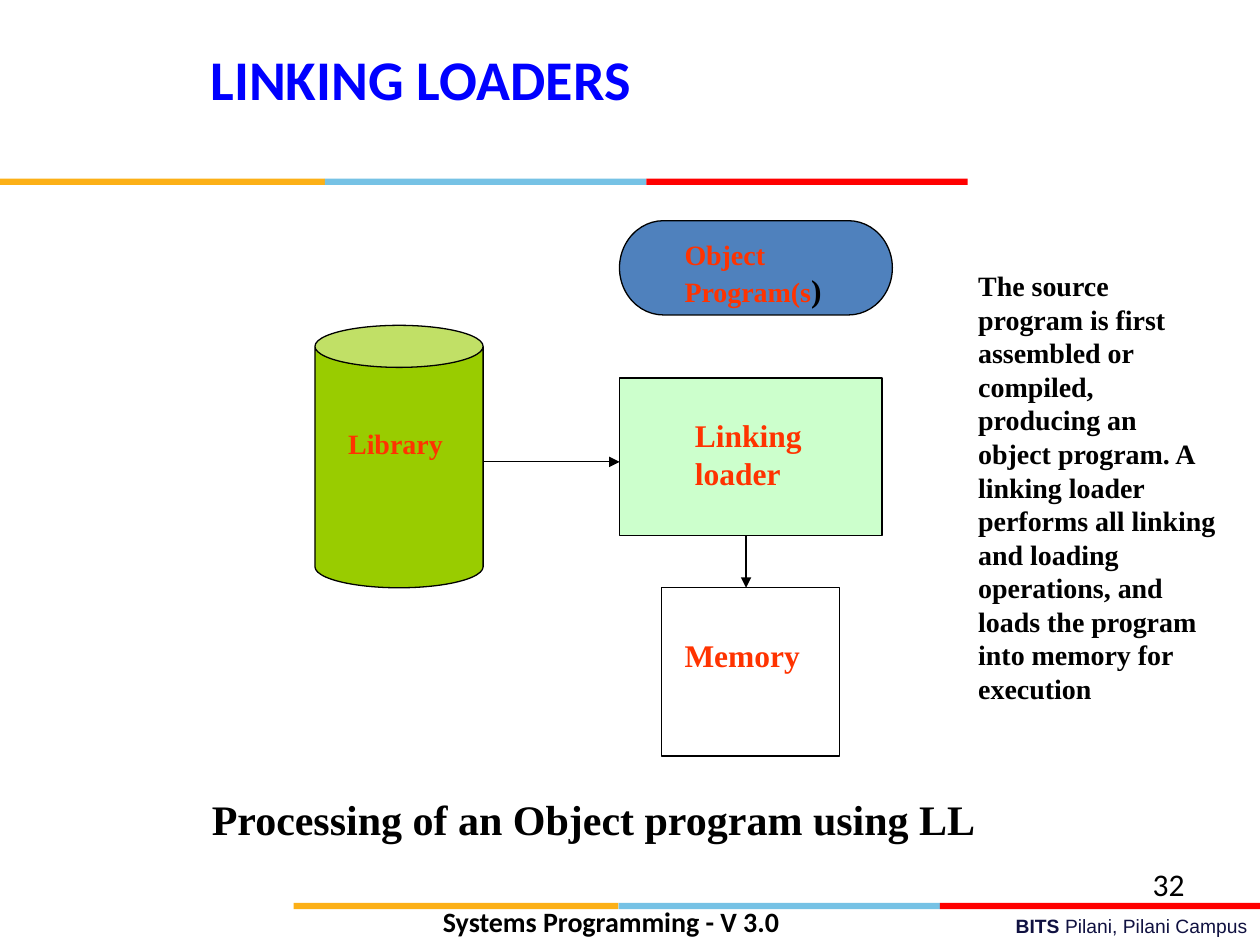
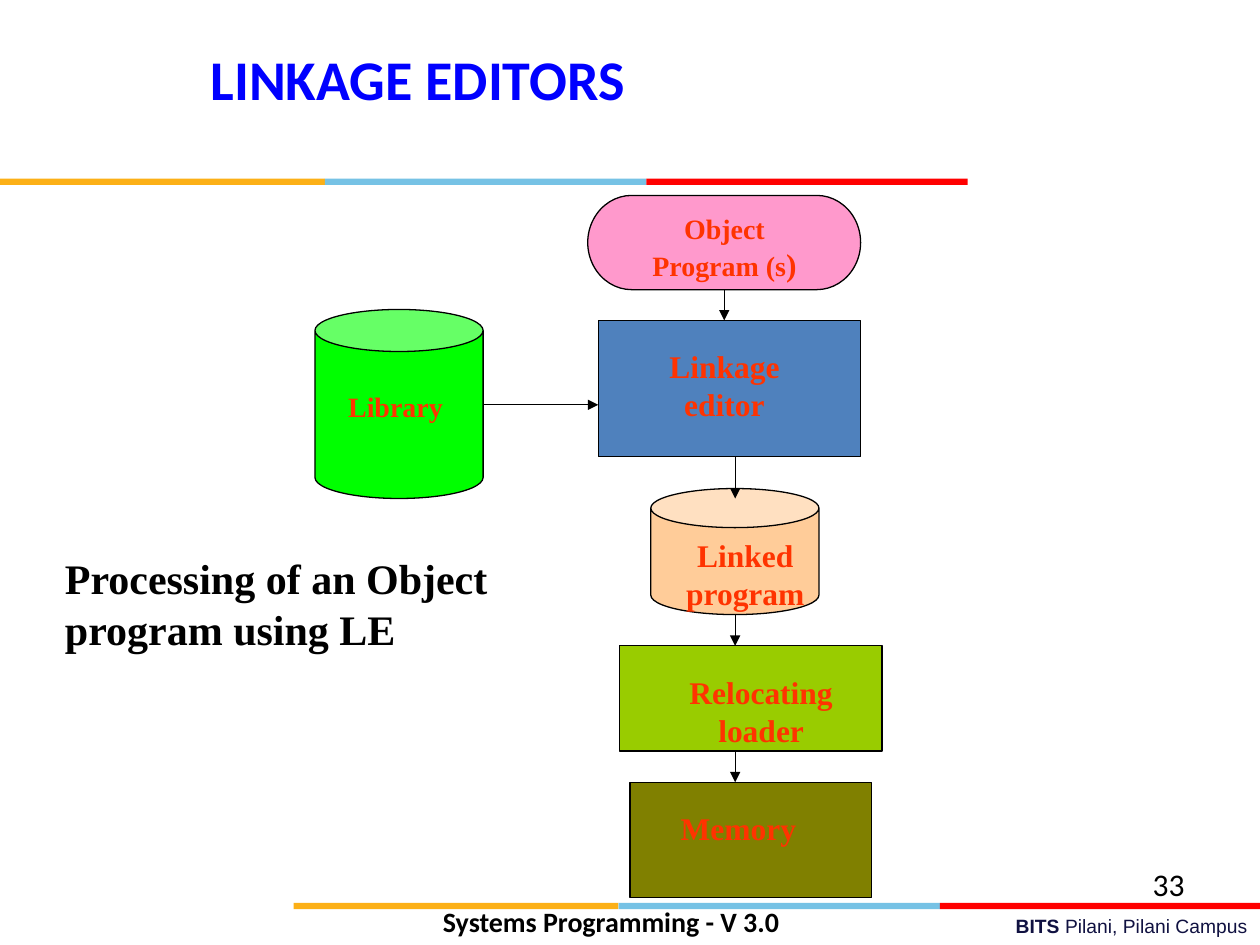
from itertools import accumulate

from lxml import etree
from pptx import Presentation
from pptx.dml.color import RGBColor
from pptx.enum.shapes import MSO_CONNECTOR, MSO_SHAPE
from pptx.enum.text import MSO_ANCHOR, MSO_AUTO_SIZE, PP_ALIGN
from pptx.oxml.ns import qn
from pptx.util import Cm, Pt

# Shared style
BLACK, WHITE, LABEL_RED = "000000", "FFFFFF", "FF3300"
TITLE_BLUE, CAMPUS_NAVY = "0000FF", "101141"
STEEL_BLUE, LIME = "4F81BD", "99CC00"
BAND_COLORS = ("FCB017", "76C2E5", "FF0000")
BAND_WIDTHS = (6.55, 6.48, 6.48)
SERIF, SANS = "Times New Roman", "Calibri"


def rgb(color):
    return RGBColor.from_string(color)


def set_font(font, name, size, color, bold):
    font.name = name
    font.size = Pt(size)
    font.color.rgb = rgb(color)
    font.bold = bold


def add_text(slide, box, text, size=18, color=LABEL_RED, name=SERIF,
             bold=True, align=PP_ALIGN.LEFT):
    """Add a wrapped text box and return its paragraph."""
    frame = slide.shapes.add_textbox(*map(Cm, box)).text_frame
    frame.word_wrap = True
    paragraph = frame.paragraphs[0]
    paragraph.text = text
    paragraph.alignment = align
    set_font(paragraph.font, name, size, color, bold)
    return paragraph


def add_node(slide, kind, box, fill, outlined=True):
    shape = slide.shapes.add_shape(kind, *map(Cm, box))
    shape.shadow.inherit = False
    shape.fill.solid()
    shape.fill.fore_color.rgb = rgb(fill)
    if outlined:
        shape.line.color.rgb = rgb(BLACK)
        shape.line.width = Pt(0.75)
    else:
        shape.line.fill.background()
    return shape


def add_arrow(slide, start, end):
    connector = slide.shapes.add_connector(
        MSO_CONNECTOR.STRAIGHT, *map(Cm, start + end))
    connector.line.color.rgb = rgb(BLACK)
    connector.line.width = Pt(0.75)
    line = connector.line._get_or_add_ln()
    etree.SubElement(line, qn("a:tailEnd"), type="triangle")
    etree.SubElement(connector._element.spPr, qn("a:effectLst"))


def add_band(slide, left, top):
    """Draw the three-coloured rule."""
    lefts = accumulate(BAND_WIDTHS, initial=left)
    for x, width, color in zip(lefts, BAND_WIDTHS, BAND_COLORS):
        add_node(slide, MSO_SHAPE.RECTANGLE, (x, top, width, 0.13), color,
                 outlined=False)


def add_title(slide, text):
    title = slide.shapes.title
    title.left, title.top, title.width, title.height = map(
        Cm, (3.99, 0.76, 14, 1.75))
    frame = title.text_frame
    frame.auto_size = MSO_AUTO_SIZE.NONE
    frame.vertical_anchor = MSO_ANCHOR.TOP
    paragraph = frame.paragraphs[0]
    paragraph.text = text
    paragraph.alignment = PP_ALIGN.LEFT
    set_font(paragraph.font, SANS, 32, TITLE_BLUE, True)


def add_footer(slide, number):
    campus = add_text(slide, (9.09, 18.31, 16.31, 0.74), "BITS ", 11,
                      CAMPUS_NAVY, "Arial", align=PP_ALIGN.RIGHT)
    place = campus.add_run()
    place.text = "Pilani, Pilani Campus"
    place.font.bold = False
    add_text(slide, (18.2, 17.32, 5.93, 1.02), str(number), 18, BLACK, SANS,
             bold=False, align=PP_ALIGN.RIGHT)
    add_text(slide, (8.68, 18.11, 8.05, 1.02), "Systems Programming - V 3.0",
             16, BLACK, SANS)


def add_base_slide(presentation, title, number):
    slide = presentation.slides.add_slide(presentation.slide_layouts[5])
    add_band(slide, 0, 3.6)
    add_band(slide, 5.92, 18.2)
    add_title(slide, title)
    add_footer(slide, number)
    return slide


def add_library(slide, top, height, fill, label_top):
    add_node(slide, MSO_SHAPE.CAN, (6.35, top, 3.39, height), fill)
    add_text(slide, (6.77, label_top, 2.54, 0.93), "Library", 16)


def add_object_program(slide, left, top, fill, label_box, label, align,
                       bracket_color):
    add_node(slide, MSO_SHAPE.FLOWCHART_TERMINATOR, (left, top, 5.5, 1.9),
             fill)
    paragraph = add_text(slide, label_box, label, 16, align=align)
    bracket = paragraph.add_run()
    bracket.text = ")"
    bracket.font.size = Pt(18)
    bracket.font.color.rgb = rgb(bracket_color)


def build_linking_loaders(presentation):
    slide = add_base_slide(presentation, "LINKING LOADERS", 32)

    # Diagram
    add_library(slide, 6.56, 5.29, LIME, 8.47)
    add_object_program(slide, 12.49, 4.45, STEEL_BLUE,
                       (13.55, 4.66, 4.23, 1.69), "Object Program(s",
                       PP_ALIGN.LEFT, BLACK)
    add_node(slide, MSO_SHAPE.RECTANGLE, (12.49, 7.62, 5.29, 3.18), "CCFFCC")
    add_text(slide, (13.76, 8.26, 3.39, 1.78), "Linking loader")
    add_node(slide, MSO_SHAPE.RECTANGLE, (13.33, 11.85, 3.6, 3.39), WHITE)
    add_text(slide, (13.55, 12.7, 3.18, 1.02), "Memory")
    add_arrow(slide, (9.74, 9.31), (12.49, 9.31))
    add_arrow(slide, (15.04, 10.8), (15.04, 11.85))

    # Explanation and caption
    add_text(slide, (19.47, 5.29, 5.29, 9.07),
             "The source program is first assembled or compiled, producing "
             "an object program. A linking loader performs all linking and "
             "loading operations, and loads the program into memory for "
             "execution", 16, BLACK)
    add_text(slide, (4.02, 15.88, 18.42, 1.27),
             "Processing of an Object program using LL", 24, BLACK)


def build_linkage_editors(presentation):
    slide = add_base_slide(presentation, "LINKAGE EDITORS", 33)

    # Inputs
    add_library(slide, 6.24, 3.81, "00FF00", 7.73)
    add_object_program(slide, 11.85, 3.94, "FF99CC",
                       (12.49, 4.13, 4.23, 1.69), "Object Program (s",
                       PP_ALIGN.CENTER, LABEL_RED)

    # Processing steps: shape, box, fill, label, label box, alignment
    steps = (
        (MSO_SHAPE.RECTANGLE, (12.06, 6.46, 5.29, 2.75), STEEL_BLUE,
         "Linkage editor", (12.91, 6.88, 3.39, 1.78), PP_ALIGN.CENTER),
        (MSO_SHAPE.CAN, (13.12, 9.85, 3.39, 2.54), "FFCC99",
         "Linked program", (13.33, 10.69, 3.39, 1.78), PP_ALIGN.CENTER),
        (MSO_SHAPE.RECTANGLE, (12.49, 13.02, 5.29, 2.12), LIME,
         "Relocating loader", (12.91, 13.44, 4.87, 1.78), PP_ALIGN.CENTER),
        (MSO_SHAPE.RECTANGLE, (12.7, 15.77, 4.87, 2.33), "808000",
         "Memory", (13.12, 16.19, 3.18, 1.02), PP_ALIGN.RIGHT),
    )
    for kind, box, fill, label, label_box, align in steps:
        shape = add_node(slide, kind, box, fill)
        if kind == MSO_SHAPE.CAN:
            shape.adjustments[0] = 0.31
        add_text(slide, label_box, label, align=align)

    # Flow
    add_arrow(slide, (9.74, 8.16), (12.06, 8.16))
    add_arrow(slide, (14.6, 5.83), (14.6, 6.46))
    for start, end in ((9.21, 10.05), (12.39, 13.02), (15.14, 15.77)):
        add_arrow(slide, (14.82, start), (14.82, end))

    # Caption
    add_text(slide, (1.06, 11.02, 9.84, 2.29),
             "Processing of an Object program using LE", 24, BLACK)


def main():
    presentation = Presentation()
    presentation.slide_width = Cm(25.4)
    presentation.slide_height = Cm(19.05)
    build_linking_loaders(presentation)
    build_linkage_editors(presentation)
    presentation.save("out.pptx")


if __name__ == "__main__":
    main()
